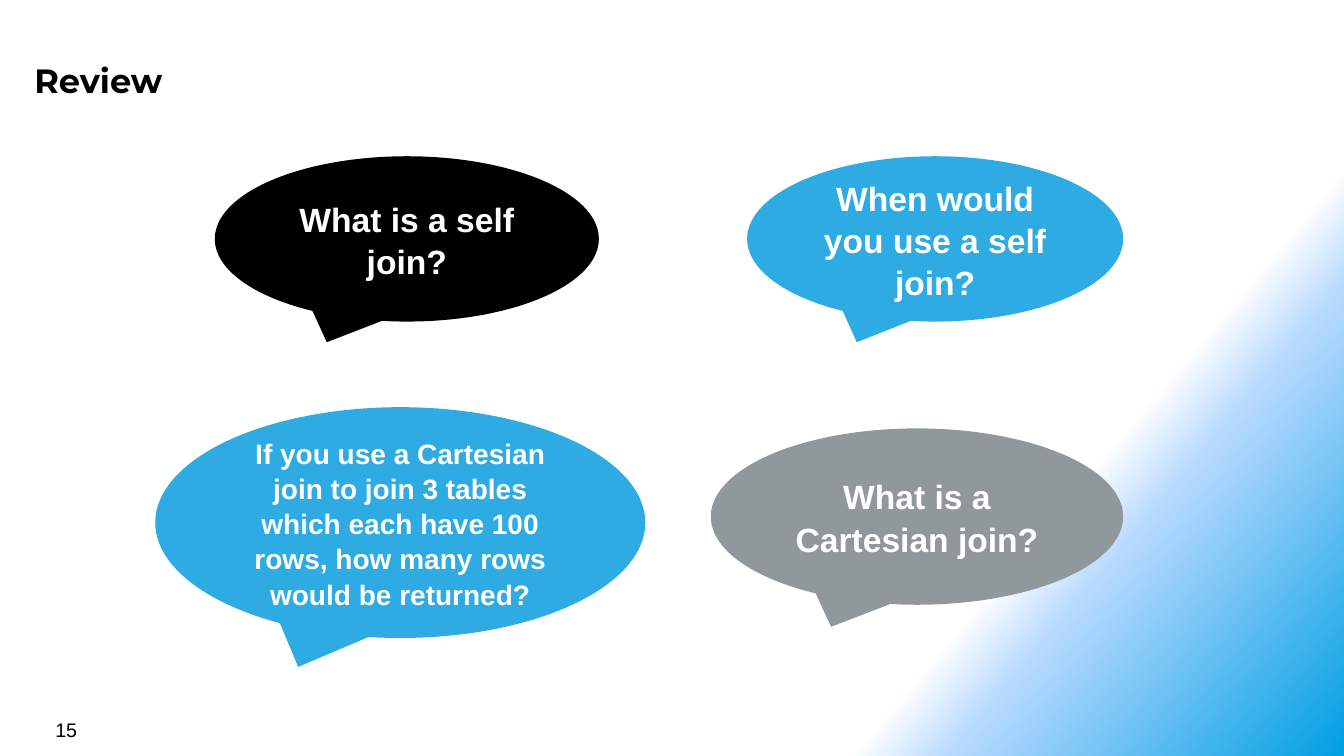
from dataclasses import dataclass

from lxml.etree import SubElement
from pptx import Presentation
from pptx.dml.color import RGBColor
from pptx.enum.shapes import MSO_SHAPE
from pptx.enum.text import MSO_ANCHOR, PP_ALIGN
from pptx.oxml.ns import qn
from pptx.util import Inches, Pt

WIDTH, HEIGHT = Inches(13.33), Inches(7.5)


@dataclass(frozen=True)
class Theme:
    black: str = "000000"
    white: str = "FFFFFF"
    blue: str = "2EABE2"
    gray: str = "91989C"
    heading_font: str = "Montserrat"
    body_font: str = "Arial"
    large: int = 24
    medium: int = 20
    small: int = 14
    # Position, colour and opacity, all in percent
    backdrop: tuple = ((75, "FFFFFF", 100), (80, "B9DAFF", 50), (100, "009FE3", 100))
    backdrop_angle: int = 40


THEME = Theme()

# Boxes are left, top, width, height in percent of the slide
TITLE_BOX = (1.95, 6.8, 91.97, 7.33)
NUMBER_BOX = (3.38, 94.27, 23.33, 4.4)
QUESTIONS = [
    ("What is a self join?", (15.98, 20.67, 28.58, 21.87), THEME.black, THEME.large),
    ("If you use a Cartesian join to join 3 tables which each have 100 rows, "
     "how many rows would be returned?",
     (11.55, 53.87, 36.46, 30.53), THEME.blue, THEME.medium),
    ("When would you use a self join?", (55.59, 20.67, 27.98, 21.87), THEME.blue, THEME.large),
    ("What is a Cartesian join?", (52.89, 56.67, 30.68, 23.33), THEME.gray, THEME.large),
]


def place(box):
    """Turn a box in percent into slide lengths."""
    return [round(share * side / 100) for share, side in zip(box, (WIDTH, HEIGHT) * 2)]


def write(frame, text, size=THEME.large, color=THEME.black, font=THEME.body_font,
          bold=False, align=PP_ALIGN.LEFT, anchor=MSO_ANCHOR.TOP, spacing=1.0):
    frame.word_wrap = True
    frame.vertical_anchor = anchor
    para = frame.paragraphs[0]
    para.alignment = align
    para.line_spacing = spacing
    span = para.add_run()
    span.text = text
    span.font.name = font
    span.font.size = Pt(size)
    span.font.bold = bold
    span.font.color.rgb = RGBColor.from_string(color)


def paint_backdrop(page):
    fill = page.background.fill
    fill.gradient()
    fill.gradient_angle = 360 - THEME.backdrop_angle
    stops = page.element.find(".//" + qn("a:gsLst"))
    for stop in list(stops):
        stops.remove(stop)
    for position, color, opacity in THEME.backdrop:
        stop = SubElement(stops, qn("a:gs"), pos=str(position * 1000))
        shade = SubElement(stop, qn("a:srgbClr"), val=color)
        if opacity < 100:
            SubElement(shade, qn("a:alpha"), val=str(opacity * 1000))


def add_title(page, box, text):
    frame = page.shapes.add_textbox(*place(box)).text_frame
    frame.margin_left = frame.margin_right = Inches(0.08)
    frame.margin_top = frame.margin_bottom = Inches(0.08)
    write(frame, text, font=THEME.heading_font, bold=True)


def add_bubble(page, box, text, color, size):
    bubble = page.shapes.add_shape(MSO_SHAPE.OVAL_CALLOUT, *place(box))
    bubble.shadow.inherit = False
    bubble.fill.solid()
    bubble.fill.fore_color.rgb = RGBColor.from_string(color)
    bubble.line.fill.background()
    write(bubble.text_frame, text, size=size, color=THEME.white, bold=True,
          align=PP_ALIGN.CENTER, anchor=MSO_ANCHOR.MIDDLE, spacing=1.05)


def add_page_number(page, box, text):
    write(page.shapes.add_textbox(*place(box)).text_frame, text, size=THEME.small)


def build_review(deck):
    page = deck.slides.add_slide(deck.slide_layouts[6])
    paint_backdrop(page)
    add_title(page, TITLE_BOX, "Review")
    for text, box, color, size in QUESTIONS:
        add_bubble(page, box, text, color, size)
    add_page_number(page, NUMBER_BOX, "15")


def main():
    deck = Presentation()
    deck.slide_width, deck.slide_height = WIDTH, HEIGHT
    build_review(deck)
    deck.save("out.pptx")


if __name__ == "__main__":
    main()
